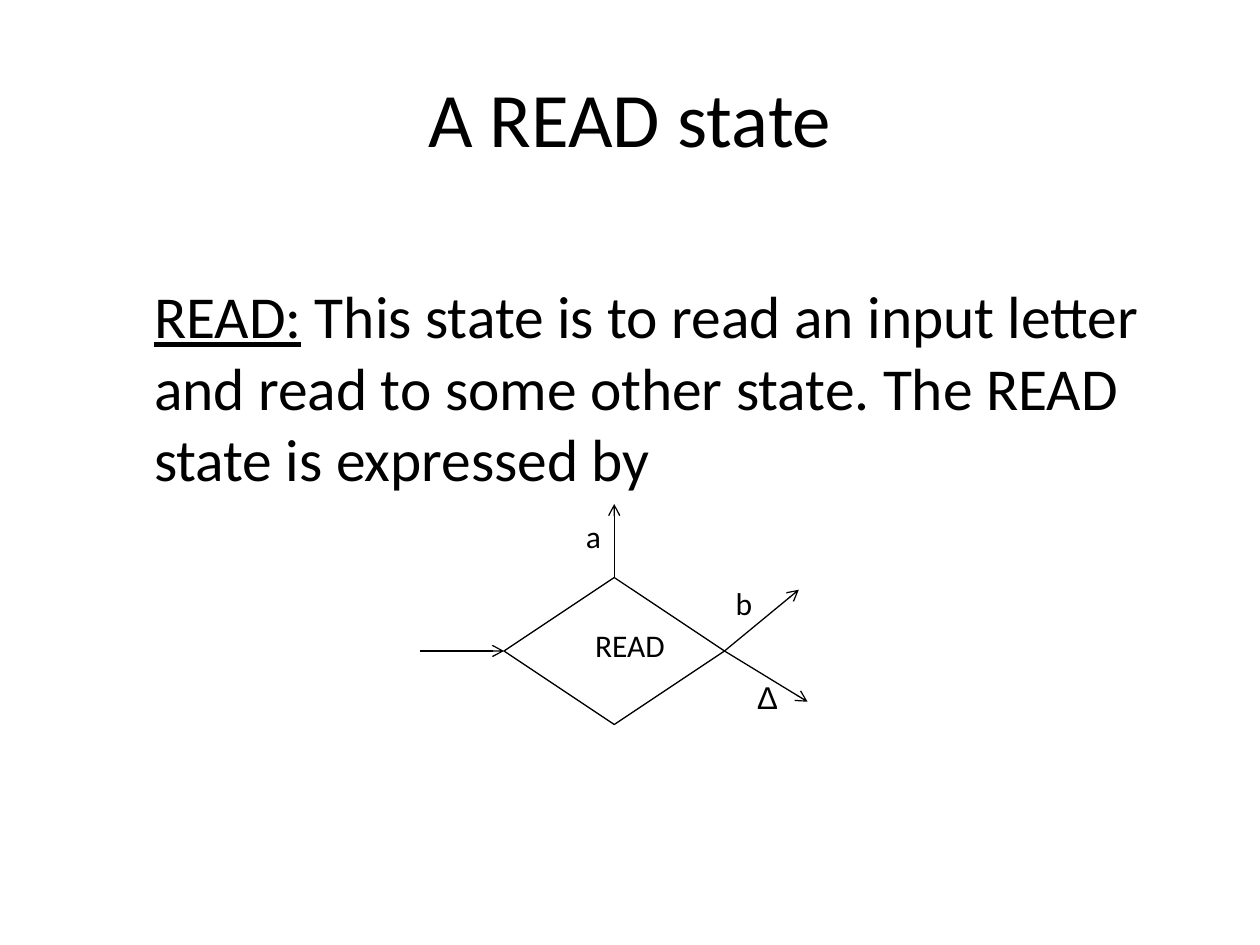
from lxml import etree
from pptx import Presentation
from pptx.dml.color import RGBColor
from pptx.enum import shapes, text
from pptx.oxml.ns import qn
from pptx.util import Pt


def colour(value):
    return RGBColor.from_string(value)


class Page:
    INK = "000000"
    FONT = "Calibri"
    LINE = 0.75

    def __init__(self, slide):
        self.slide = slide

    def text(self, left, top, width, height, runs, size, font=FONT,
             align=text.PP_ALIGN.LEFT, anchor=text.MSO_ANCHOR.TOP):
        """Add one paragraph; runs are (words, underlined) pairs."""
        box = self.slide.shapes.add_textbox(Pt(left), Pt(top), Pt(width), Pt(height))
        frame = box.text_frame
        frame.word_wrap = True
        frame.vertical_anchor = anchor
        paragraph = frame.paragraphs[0]
        paragraph.alignment = align
        paragraph.font.name = font
        paragraph.font.size = Pt(size)
        paragraph.font.color.rgb = colour(self.INK)
        for words, underlined in runs:
            run = paragraph.add_run()
            run.text = words
            if underlined:
                run.font.underline = True

    def label(self, left, top, width, words):
        self.text(left, top, width, 36, [(words, False)], 18,
                  align=text.PP_ALIGN.CENTER)

    def decision(self, left, top, width, height):
        diamond = self.slide.shapes.add_shape(
            shapes.MSO_SHAPE.FLOWCHART_DECISION,
            Pt(left), Pt(top), Pt(width), Pt(height))
        diamond.shadow.inherit = False
        diamond.fill.background()
        diamond.line.color.rgb = colour(self.INK)
        diamond.line.width = Pt(self.LINE)
        return diamond

    def arrow(self, start, end):
        """Draw an arrow; the caller joins it to the state."""
        arrow = self.slide.shapes.add_connector(
            shapes.MSO_CONNECTOR.STRAIGHT, *(Pt(n) for n in start + end))
        arrow.line.color.rgb = colour(self.INK)
        arrow.line.width = Pt(self.LINE)
        etree.SubElement(arrow.line._get_or_add_ln(), qn("a:tailEnd"), type="arrow")
        etree.SubElement(arrow._element.spPr, qn("a:effectLst"))
        return arrow


def main():
    deck = Presentation()
    deck.slide_width, deck.slide_height = Pt(720), Pt(540)
    page = Page(deck.slides.add_slide(deck.slide_layouts[6]))

    # Title and definition
    page.text(36, 21.6, 648, 90, [("A READ state", False)], 44,
              align=text.PP_ALIGN.CENTER, anchor=text.MSO_ANCHOR.MIDDLE)
    page.text(81, 156, 585, 140, [
        ("READ:", True),
        (" This state is to read an input letter and read to some other state. "
         "The READ state is expressed by", False)], 34)

    # READ state
    left, top, width, height = 288, 330, 126, 84
    centre, middle, right = left + width / 2, top + height / 2, left + width
    read_state = page.decision(left, top, width, height)
    page.label(320, 354, 80, "READ")

    # Incoming arrow
    incoming = page.arrow((240, middle), (left, middle))
    incoming.end_connect(read_state, 1)

    # Outgoing arrows: start, end, side of the state
    for start, end, side in [
        ((centre, top), (centre, 288), 0),
        ((right, middle), (456.5, 337), 3),
        ((right, middle), (461.5, 401), 3),
    ]:
        page.arrow(start, end).begin_connect(read_state, side)

    # Letters read
    page.label(312, 292, 54, "a")
    page.label(398, 330, 54, "b")
    page.text(426, 384, 54, 29, [("∆", False)], 18, font="Arial")

    deck.save("out.pptx")


if __name__ == "__main__":
    main()
